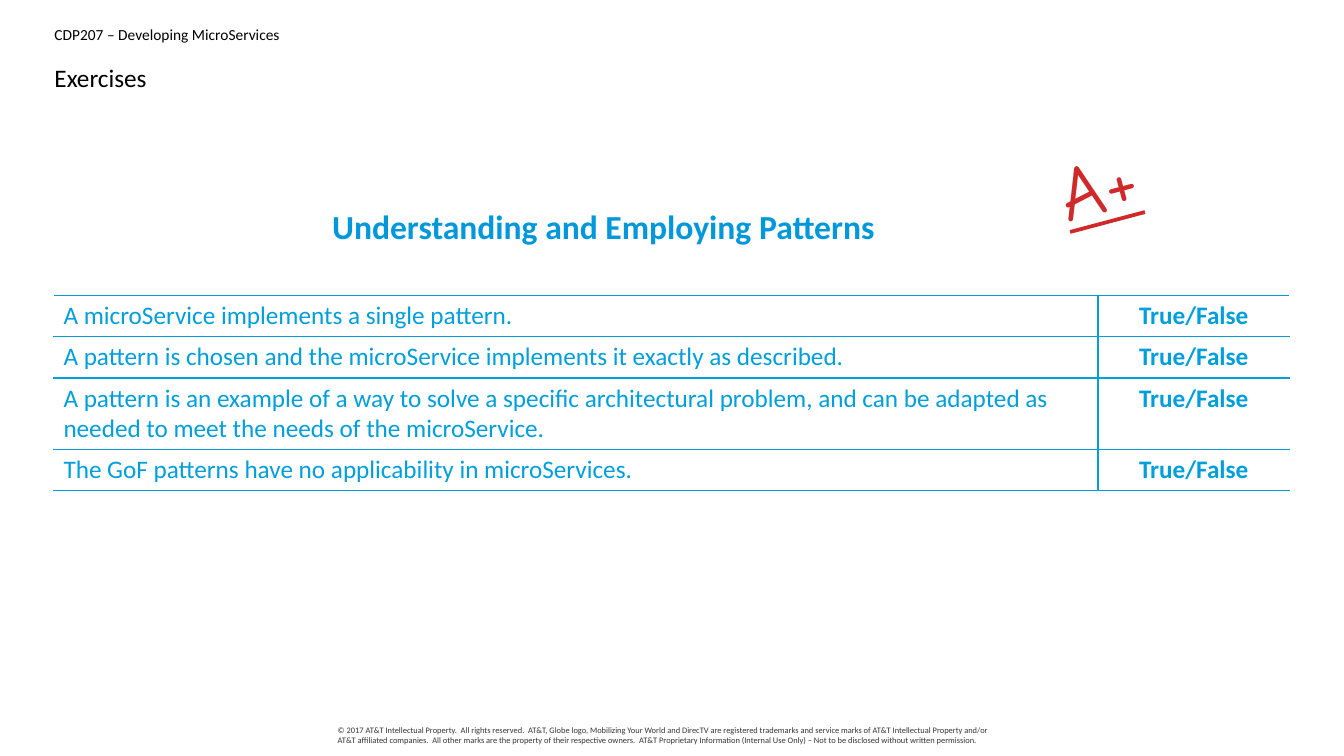
from dataclasses import dataclass

from lxml import etree
from pptx import Presentation
from pptx import util as u
from pptx.dml.color import RGBColor
from pptx.enum import text
from pptx.oxml import ns


@dataclass(frozen=True)
class Theme:
    font: str = "Calibri"
    grade_font: str = "Comic Neue"
    black: str = "000000"
    footer: str = "343434"
    headline: str = "0097DB"
    blue: str = "009FDB"
    red: str = "CF2A2A"
    header_size: int = 11
    footer_size: int = 6
    body_size: int = 18
    headline_size: int = 24
    grade_size: int = 54


THEME = Theme()


@dataclass(frozen=True)
class Style:
    size: int
    color: str
    font: str = THEME.font
    bold: bool = False
    underline: bool = False
    align: text.PP_ALIGN = text.PP_ALIGN.LEFT


@dataclass(frozen=True)
class Label:
    words: str
    box: tuple[float, float, float, float]
    style: Style
    inset: tuple[float, float] = (0, 0)
    rotation: float = 0
    wrap: bool = True


LABELS = [
    Label("CDP207 – Developing MicroServices", (0.54, 0.25, 12.26, 0.2),
          Style(THEME.header_size, THEME.black)),
    Label("© 2017 AT&T Intellectual Property.  All rights reserved.  AT&T, Globe logo, "
          "Mobilizing Your World and DirecTV are registered trademarks and service marks "
          "of AT&T Intellectual Property and/or AT&T affiliated companies.  All other "
          "marks are the property of their respective owners.  AT&T Proprietary "
          "Information (Internal Use Only) – Not to be disclosed without written permission.",
          (3.35, 7.19, 6.64, 0.24), Style(THEME.footer_size, THEME.footer)),
    Label("Understanding and Employing Patterns", (3.16, 1.99, 5.65, 0.5),
          Style(THEME.headline_size, THEME.headline, bold=True, align=text.PP_ALIGN.CENTER),
          inset=(0.1, 0.05), wrap=False),
    Label("A+", (10.49, 1.31, 1.26, 0.89),
          Style(THEME.grade_size, THEME.red, THEME.grade_font, underline=True),
          rotation=345.1),
]
TITLE = Label("Exercises", (0.54, 0.57, 12.26, 0.37), Style(THEME.body_size, THEME.black))

STATEMENTS = [
    "A microService implements a single pattern.",
    "A pattern is chosen and the microService implements it exactly as described.",
    "A pattern is an example of a way to solve a specific architectural problem, "
    "and can be adapted as needed to meet the needs of the microService.",
    "The GoF patterns have no applicability in microServices.",
]
ANSWER = "True/False"
COLUMN_WIDTHS = (10.36, 1.9)
ROW_HEIGHT = 0.41
STATEMENT_STYLE = Style(THEME.body_size, THEME.blue)
ANSWER_STYLE = Style(THEME.body_size, THEME.blue, bold=True, align=text.PP_ALIGN.CENTER)


def set_attributes(target, values: dict) -> None:
    for name, value in values.items():
        setattr(target, name, value)


def write(frame, words: str, style: Style) -> None:
    paragraph = frame.paragraphs[0]
    paragraph.alignment = style.align
    run = paragraph.add_run()
    run.text = words
    set_attributes(run.font, {"name": style.font, "size": u.Pt(style.size),
                              "bold": style.bold, "underline": style.underline})
    run.font.color.rgb = RGBColor.from_string(style.color)


def fill_label(shape, label: Label) -> None:
    left, top, width, height = map(u.Inches, label.box)
    set_attributes(shape, {"left": left, "top": top, "width": width,
                           "height": height, "rotation": label.rotation})
    side, edge = map(u.Inches, label.inset)
    set_attributes(shape.text_frame, {
        "margin_left": side, "margin_right": side, "margin_top": edge,
        "margin_bottom": edge, "word_wrap": label.wrap,
        "auto_size": text.MSO_AUTO_SIZE.NONE})
    write(shape.text_frame, label.words, label.style)


def add_title(slide) -> None:
    title = slide.shapes.title
    fill_label(title, TITLE)
    set_attributes(title.text_frame.paragraphs[0],
                   {"line_spacing": 1.1, "space_after": u.Pt(10)})


def add_borders(cell, sides: str) -> None:
    # Border lines come before the fill in the cell properties
    properties = cell._tc.get_or_add_tcPr()
    for position, side in enumerate(sides):
        line = etree.Element(ns.qn(f"a:ln{side}"), w=str(u.Pt(1)))
        fill = etree.SubElement(line, ns.qn("a:solidFill"))
        etree.SubElement(fill, ns.qn("a:srgbClr"), val=THEME.blue)
        properties.insert(position, line)


def add_exercises(slide) -> None:
    table = slide.shapes.add_table(
        len(STATEMENTS), len(COLUMN_WIDTHS), u.Inches(0.53), u.Inches(2.93),
        u.Inches(sum(COLUMN_WIDTHS)), u.Inches(ROW_HEIGHT * len(STATEMENTS))).table
    set_attributes(table, {"first_row": False, "horz_banding": False})
    for column, width in zip(table.columns, COLUMN_WIDTHS):
        column.width = u.Inches(width)
    for row, statement in zip(table.rows, STATEMENTS):
        row.height = u.Inches(ROW_HEIGHT)
        contents = [(statement, STATEMENT_STYLE, "RTB"), (ANSWER, ANSWER_STYLE, "LTB")]
        for cell, (words, style, sides) in zip(row.cells, contents):
            cell.fill.background()
            write(cell.text_frame, words, style)
            add_borders(cell, sides)


def main() -> None:
    presentation = Presentation()
    set_attributes(presentation, {"slide_width": u.Inches(13.33),
                                  "slide_height": u.Inches(7.5)})
    slide = presentation.slides.add_slide(presentation.slide_layouts.get_by_name("Title Only"))

    # Title and exercise table
    add_title(slide)
    add_exercises(slide)

    # Header, footer, headline and grade
    for label in LABELS:
        fill_label(slide.shapes.add_textbox(0, 0, 0, 0), label)

    presentation.save("out.pptx")


if __name__ == "__main__":
    main()
